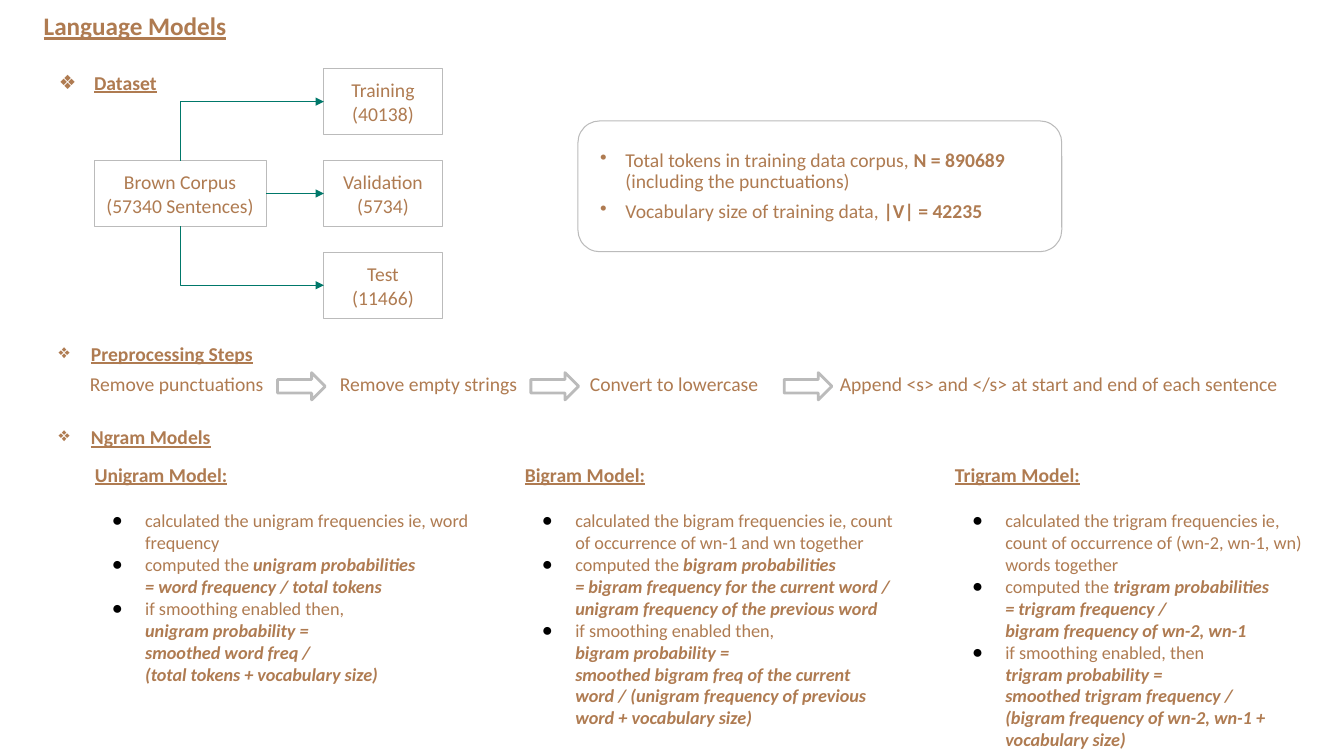
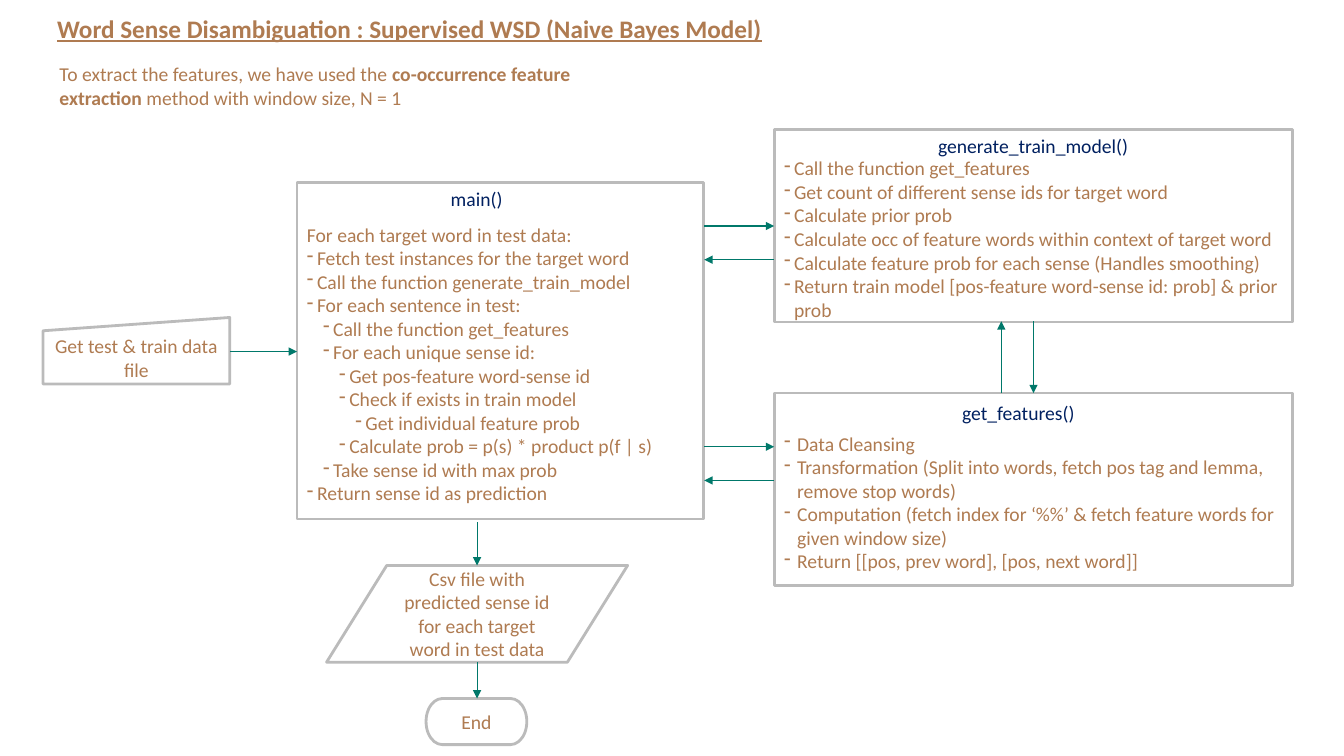
from lxml import etree
from pptx import Presentation
from pptx import util as u
from pptx.dml import color
from pptx.enum import shapes, text
from pptx.oxml import ns

BROWN = color.RGBColor(0xAF, 0x7B, 0x51)
TEAL = color.RGBColor(0x00, 0x78, 0x6A)
NAVY = color.RGBColor(0x00, 0x20, 0x60)
GREY = color.RGBColor(0xBB, 0xBB, 0xBB)
WHITE = color.RGBColor(0xFF, 0xFF, 0xFF)
BLACK = color.RGBColor(0x00, 0x00, 0x00)

FONT = "Calibri"
WIDTH, HEIGHT = u.Inches(13.33), u.Inches(7.5)
COL, ROW = WIDTH / 100, HEIGHT / 100
LABEL_ROWS = 4.5
SHAPE = shapes.MSO_SHAPE
ALIGN = text.PP_ALIGN
ANCHOR = text.MSO_ANCHOR


def place(area):
    left, top, width, height = area
    return round(left * COL), round(top * ROW), round(width * COL), round(height * ROW)


def line(*runs, **layout):
    return runs, layout


def set_bullet(paragraph, bullet, bullet_color, margin, hang):
    props = paragraph._p.get_or_add_pPr()
    props.set("marL", str(u.Inches(margin)))
    props.set("indent", str(-u.Inches(hang)))
    if not bullet:
        etree.SubElement(props, ns.qn("a:buNone"))
        return
    tint = etree.SubElement(props, ns.qn("a:buClr"))
    etree.SubElement(tint, ns.qn("a:srgbClr"), val=str(bullet_color))
    etree.SubElement(props, ns.qn("a:buChar"), char=bullet)


def add_line(paragraph, runs, size=14, ink=BROWN, align=ALIGN.LEFT, spacing=1.0, before=0,
             after=0, bullet=None, bullet_color=BROWN, margin=0, hang=0):
    layout = {"alignment": align, "line_spacing": spacing,
              "space_before": u.Pt(before), "space_after": u.Pt(after)}
    for key, value in layout.items():
        setattr(paragraph, key, value)
    set_bullet(paragraph, bullet, bullet_color, margin, hang)
    for item in runs:
        words, style = (item, "") if isinstance(item, str) else item
        run = paragraph.add_run()
        run.text = words
        look = {"name": FONT, "size": u.Pt(size), "bold": "b" in style,
                "italic": "i" in style, "underline": "u" in style}
        for key, value in look.items():
            setattr(run.font, key, value)
        run.font.color.rgb = ink


def write(frame, lines, anchor=ANCHOR.TOP, **margins):
    frame.word_wrap = True
    frame.auto_size = text.MSO_AUTO_SIZE.NONE
    frame.vertical_anchor = anchor
    for side, inches in margins.items():
        setattr(frame, "margin_" + side, u.Inches(inches))
    for index, (runs, layout) in enumerate(lines):
        paragraph = frame.add_paragraph() if index else frame.paragraphs[0]
        add_line(paragraph, runs, **layout)


def fill_placeholder(slide, idx, area, lines, **options):
    holder = slide.placeholders[idx]
    holder.left, holder.top, holder.width, holder.height = place(area)
    write(holder.text_frame, lines, **options)


def add_title(slide, words, area):
    fill_placeholder(slide, 0, area, [line((words, "bu"), size=18, spacing=0.9)],
                     top=0.1, bottom=0.1)


def add_text(slide, area, *lines):
    write(slide.shapes.add_textbox(*place(area)).text_frame, lines)


def add_box(slide, preset, area, lines=(), weight=2, anchor=ANCHOR.MIDDLE, **margins):
    box = slide.shapes.add_shape(preset, *place(area))
    box.shadow.inherit = False
    box.fill.solid()
    box.fill.fore_color.rgb = WHITE
    box.line.color.rgb = GREY
    box.line.width = u.Pt(weight)
    write(box.text_frame, lines, anchor, **margins)
    return box


def add_arrow(slide, start=(0, 0), end=(0, 0), kind=shapes.MSO_CONNECTOR.STRAIGHT, tip="a:tailEnd"):
    ends = [round(v) for x, y in (start, end) for v in (x * COL, y * ROW)]
    arrow = slide.shapes.add_connector(kind, *ends)
    arrow.line.color.rgb = TEAL
    arrow.line.width = u.Pt(0.75)
    props = arrow._element.spPr
    etree.SubElement(props.find(ns.qn("a:ln")), ns.qn(tip), type="triangle")
    etree.SubElement(props, ns.qn("a:effectLst"))
    return arrow


def add_split(slide, corpus, subset, site):
    if site == 3:
        arrow = add_arrow(slide, tip="a:headEnd")
    else:
        arrow = add_arrow(slide, kind=shapes.MSO_CONNECTOR.ELBOW, tip="a:headEnd")
        arrow._element.spPr.find(ns.qn("a:prstGeom")).set("prst", "bentConnector2")
    arrow.begin_connect(subset, 1)
    arrow.end_connect(corpus, site)


def section(words, margin=0.47):
    return line((words, "bu"), spacing=0.9, bullet="❖", margin=margin, hang=margin - 0.15)


def centred(*words):
    return [line(part, align=ALIGN.CENTER) for part in words]


def model_lines(name, items):
    lines = [line((name + " Model:", "bu"), after=17)]
    for lead, *formulas in items:
        lines.append(line(*lead, size=13, bullet="●", bullet_color=BLACK, margin=0.5, hang=0.33))
        lines += [line((formula, "bi"), size=13, margin=0.5) for formula in formulas]
    return lines


def add_dataset(slide):
    top, pitch, height = 9.1, 12.15, 8.7
    corpus = add_box(slide, SHAPE.RECTANGLE, (7, top + pitch, 12.8, height),
                     centred("Brown Corpus", "(57340 Sentences)"), weight=0.75)
    subsets = [("Training", "(40138)", 0), ("Validation", "(5734)", 3), ("Test", "(11466)", 2)]
    for row, (name, count, site) in enumerate(subsets):
        subset = add_box(slide, SHAPE.RECTANGLE, (24.1, top + pitch * row, 8.8, height),
                         centred(name, count), weight=0.75)
        add_split(slide, corpus, subset, site)
    fact = {"spacing": 0.9, "bullet": "•", "margin": 0.31, "hang": 0.25}
    add_box(slide, SHAPE.ROUNDED_RECTANGLE, (43, 16, 36, 17.3), [
        line("Total tokens in training data corpus, ", ("N = 890689", "b"),
             " (including the punctuations)", **fact),
        line("Vocabulary size of training data, ", ("|V| = 42235", "b"), before=6, **fact),
    ], weight=0.75)


def add_preprocessing(slide):
    add_text(slide, (2.5, 44.9, 50, LABEL_ROWS), section("Preprocessing Steps"))
    steps = ["Remove punctuations", "Remove empty strings", "Convert to lowercase",
             "Append <s> and </s> at start and end of each sentence"]
    for index, step in enumerate(steps):
        last = index == len(steps) - 1
        add_text(slide, (5.95 + 18.6 * index, 48.5, 36 if last else 16, LABEL_ROWS), line(step))
        if not last:
            add_box(slide, SHAPE.RIGHT_ARROW, (20.65 + 18.85 * index, 49.3, 3.55, 3.6))


def add_models(slide):
    add_text(slide, (2.5, 55.9, 50, LABEL_ROWS), section("Ngram Models"))
    models = [
        ("Unigram", 29.65, [
            (["calculated the unigram frequencies ie, word frequency"],),
            (["computed the ", ("unigram probabilities", "bi")],
             "= word frequency / total tokens"),
            (["if smoothing enabled then,"], "unigram probability =",
             "smoothed word freq /", "(total tokens + vocabulary size)")]),
        ("Bigram", 29.65, [
            (["calculated the bigram frequencies ie, count of occurrence of wn-1 and wn together"],),
            (["computed the ", ("bigram probabilities", "bi")],
             "= bigram frequency for the current word / unigram frequency of the previous word"),
            (["if smoothing enabled then,"], "bigram probability =",
             "smoothed bigram freq of the current word / "
             "(unigram frequency of previous word + vocabulary size)")]),
        ("Trigram", 28.05, [
            (["calculated the trigram frequencies ie, "
              "count of occurrence of (wn-2, wn-1, wn) words together"],),
            (["computed the ", ("trigram probabilities", "bi")],
             "= trigram frequency /", "bigram frequency of wn-2, wn-1"),
            (["if smoothing enabled, then"], "trigram probability =",
             "smoothed trigram frequency /",
             "(bigram frequency of wn-2, wn-1 + vocabulary size)")]),
    ]
    for index, (name, width, items) in enumerate(models):
        fill_placeholder(slide, index + 2, (6.3 + 32 * index, 60.5, width, 39.5),
                         model_lines(name, items))


def build_language_models(deck):
    slide = deck.slides.add_slide(deck.slide_layouts[4])
    add_title(slide, "Language Models", (2.5, 0.5, 22.7, 6.3))
    fill_placeholder(slide, 1, (2.5, 9, 20, LABEL_ROWS), [section("Dataset", 0.5)])
    add_dataset(slide)
    add_preprocessing(slide)
    add_models(slide)


def add_function(slide, name, name_area, area, lines, bottom, align=ALIGN.CENTER):
    add_box(slide, SHAPE.FLOWCHART_PROCESS, area, lines, anchor=ANCHOR.BOTTOM, bottom=bottom)
    add_text(slide, (*name_area, LABEL_ROWS), line(name, ink=NAVY, align=align))


def dashed(words, level=0, hang=0.1):
    return line(words, bullet="-", margin=0.16 * level + hang, hang=hang)


def add_functions(slide):
    main_steps = [
        (0, "Fetch test instances for the target word"),
        (0, "Call the function generate_train_model"),
        (0, "For each sentence in test:"),
        (1, "Call the function get_features"),
        (1, "For each unique sense id:"),
        (2, "Get pos-feature word-sense id"),
        (2, "Check if exists in train model"),
        (3, "Get individual feature prob"),
        (2, "Calculate prob = p(s) * product p(f | s)"),
        (1, "Take sense id with max prob"),
        (0, "Return sense id as prediction"),
    ]
    train_steps = [
        "Call the function get_features",
        "Get count of different sense ids for target word",
        "Calculate prior prob",
        "Calculate occ of feature words within context of target word",
        "Calculate feature prob for each sense (Handles smoothing)",
        "Return train model [pos-feature word-sense id: prob] & prior prob",
    ]
    feature_steps = [
        "Data Cleansing",
        "Transformation (Split into words, fetch pos tag and lemma, remove stop words)",
        "Computation (fetch index for ‘%%’ & fetch feature words for given window size)",
        "Return [[pos, prev word], [pos, next word]]",
    ]
    add_function(slide, "main()", (32.8, 24.1, 11.5), (22.1, 24.1, 30.25, 44.55),
                 [line("For each target word in test data:")]
                 + [dashed(step, level) for level, step in main_steps], 0.14, ALIGN.LEFT)
    add_function(slide, "generate_train_model()", (68.55, 17.1, 16.65), (57.6, 17.1, 38.55, 25.5),
                 [dashed(step) for step in train_steps], 0.01)
    add_function(slide, "get_features()", (67.45, 52.4, 16.65), (57.6, 52, 38.55, 25.5),
                 [dashed(step, hang=0.13) for step in feature_steps], 0.13)


def build_disambiguation(deck):
    slide = deck.slides.add_slide(deck.slide_layouts[1])
    add_title(slide, "Word Sense Disambiguation : Supervised WSD (Naive Bayes Model)",
              (3.5, 0.85, 64, 6.3))
    fill_placeholder(slide, 1, (2.55, 6.9, 46.05, 8.9), [
        line("To extract the features, we have used the ",
             ("co-occurrence feature extraction", "b"),
             " method with window size, N = 1", margin=0.15)], top=0.1, bottom=0.1)
    add_functions(slide)
    files = [
        (SHAPE.FLOWCHART_MANUAL_INPUT, (3.2, 42, 13.9, 8.8), "Get test & train data file"),
        (SHAPE.FLOWCHART_DATA, (24.3, 74.8, 22.4, 12.8),
         "Csv file with predicted sense id for each target word in test data"),
        (SHAPE.FLOWCHART_TERMINATOR, (31.7, 92.4, 7.5, 6.1), "End"),
    ]
    for preset, area, words in files:
        add_box(slide, preset, area, centred(words))
    flows = [((17.1, 46.5), (22.1, 46.5)), ((35.5, 69.1), (35.5, 74.8)),
             ((35.5, 87.6), (35.5, 92.4)), ((76.9, 42.5), (76.9, 52)),
             ((74.5, 52), (74.5, 42.5))]
    for call_row in (29.9, 59.1):
        return_row = call_row + 4.45
        flows += [((52.4, call_row), (57.6, call_row)), ((57.6, return_row), (52.4, return_row))]
    for start, end in flows:
        add_arrow(slide, start, end)


def main():
    deck = Presentation()
    deck.slide_width, deck.slide_height = WIDTH, HEIGHT
    build_language_models(deck)
    build_disambiguation(deck)
    deck.save("out.pptx")


if __name__ == "__main__":
    main()
